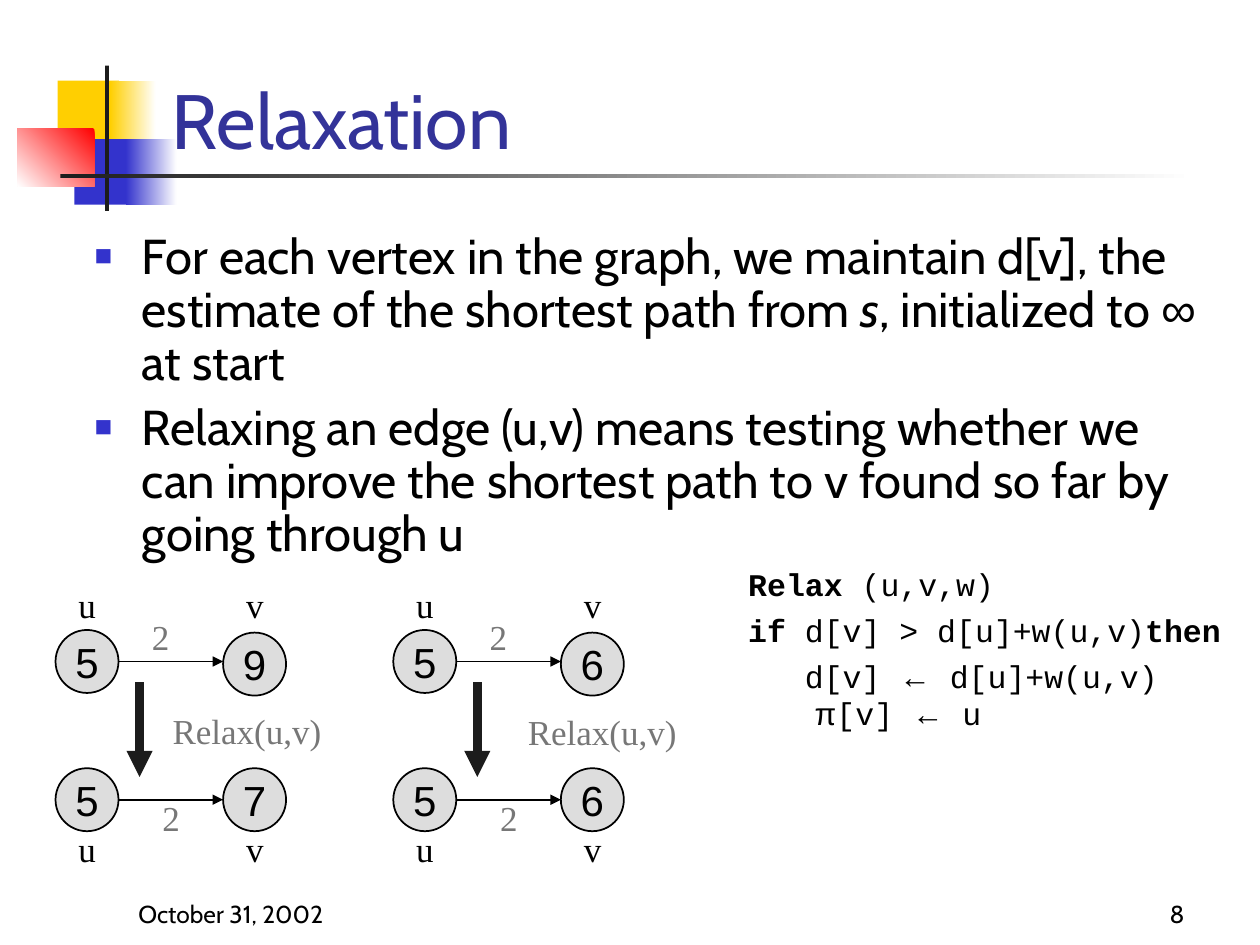
import pptx
import pptx.util
import pptx.dml.color
import pptx.enum.shapes
import pptx.enum.text
import pptx.oxml
import pptx.oxml.ns

Pt = pptx.util.Pt
SHAPE = pptx.enum.shapes.MSO_SHAPE
ALIGN = pptx.enum.text.PP_ALIGN
ANCHOR = pptx.enum.text.MSO_ANCHOR
COLORS = {
    "black": "000000", "dark": "1C1C1C", "white": "FFFFFF", "title": "333399",
    "blue": "3333CC", "yellow": "FFCF01", "red": "FF0000", "node": "DDDDDD",
    "gray": "777777",
}


def color(name):
    return pptx.dml.color.RGBColor.from_string(COLORS[name])


def add_xml(parent, tag, content=""):
    ns = pptx.oxml.ns.nsdecls("a")
    name = tag.split()[0]
    parent.append(pptx.oxml.parse_xml(f"<a:{tag} {ns}>{content}</a:{name}>"))


class Deck:
    def __init__(self, width, height):
        self.prs = pptx.Presentation()
        self.prs.slide_width, self.prs.slide_height = Pt(width), Pt(height)
        self.slide = self.prs.slides.add_slide(self.prs.slide_layouts[6])

    def shape(self, kind, box, fill, fade=None, angle=0):
        """Add a shape without outline; fade is the second gradient colour."""
        sp = self.slide.shapes.add_shape(kind, *map(Pt, box))
        sp.shadow.inherit = False
        sp.line.fill.background()
        if fade:
            sp.fill.gradient()
            sp.fill.gradient_angle = angle
            for stop, name in zip(sp.fill.gradient_stops, (fill, fade)):
                stop.color.rgb = color(name)
        else:
            sp.fill.solid()
            sp.fill.fore_color.rgb = color(fill)
        return sp

    def style(self, p, font, size, ink="black", align=None, before=None):
        p.font.name, p.font.size = font, Pt(size)
        p.font.color.rgb = color(ink)
        p.alignment = align
        if before is not None:
            p.space_before = Pt(before)

    def indent(self, p, left, first):
        pPr = p._p.get_or_add_pPr()
        pPr.set("marL", str(Pt(left)))
        pPr.set("indent", str(Pt(first)))
        return pPr

    def runs(self, p, parts):
        """Add (text, font attributes) pairs; a None text is a line break."""
        for text, attributes in parts:
            if text is None:
                p.add_line_break()
                continue
            r = p.add_run()
            r.text = text
            for key, value in attributes.items():
                setattr(r.font, key, value)

    def text_frame(self, box, anchor=ANCHOR.TOP):
        tf = self.slide.shapes.add_textbox(*map(Pt, box)).text_frame
        tf.word_wrap = True
        tf.vertical_anchor = anchor
        return tf

    def label(self, text, box, font, size, anchor=ANCHOR.TOP, **style):
        p = self.text_frame(box, anchor).paragraphs[0]
        p.text = text
        self.style(p, font, size, **style)

    def bullets(self, box, items):
        tf = self.text_frame(box)
        for i, parts in enumerate(items):
            p = tf.add_paragraph() if i else tf.paragraphs[0]
            p.line_spacing = 0.9
            pPr = self.indent(p, 27, -27)
            add_xml(pPr, "buClr", f'<a:srgbClr val="{COLORS["blue"]}"/>')
            add_xml(pPr, 'buSzPct val="60000"')
            add_xml(pPr, 'buFont typeface="Arial"')
            add_xml(pPr, 'buChar char="■"')
            self.style(p, "Cabin", 28, before=7)
            self.runs(p, parts)

    def code(self, box, lines):
        tf = self.text_frame(box)
        for i, (left, first, parts) in enumerate(lines):
            p = tf.add_paragraph() if i else tf.paragraphs[0]
            self.indent(p, left, first)
            self.style(p, "Courier New", 18, before=4.5)
            self.runs(p, parts)

    def node(self, text, x, y, size=36):
        sp = self.shape(SHAPE.OVAL, (x, y, size, size), "node")
        sp.line.color.rgb = color("black")
        sp.line.width = Pt(1)
        tf = sp.text_frame
        tf.word_wrap = False
        tf.vertical_anchor = ANCHOR.MIDDLE
        p = tf.paragraphs[0]
        p.text = text
        self.style(p, "Arial", 24, align=ALIGN.CENTER)

    def arrow(self, x1, y1, x2, y2, ink="black", width=1):
        line = self.slide.shapes.add_connector(
            pptx.enum.shapes.MSO_CONNECTOR.STRAIGHT, *map(Pt, (x1, y1, x2, y2)))
        line.line.color.rgb = color(ink)
        line.line.width = Pt(width)
        add_xml(line.line._get_or_add_ln(), 'tailEnd type="triangle"')
        add_xml(line._element.spPr, "effectLst")

    def relax_example(self, x, before, after, caption_x, caption_y):
        """Draw edge (u,v) above and below the arrow that relaxes it."""
        u, v = x, x + 95.75
        serif = {"font": "Times New Roman", "size": 20, "before": 12.5}
        rows = ((before, 360, 361.5, 378, 330), (after, 439, 439, 457, 469.5))
        for (u_value, v_value), u_top, v_top, edge_y, name_y in rows:
            self.node(u_value, u, u_top)
            self.node(v_value, v, v_top)
            self.arrow(u + 36, edge_y, v, edge_y)
            for name, left in (("u", u), ("v", v)):
                self.label(name, (left + 6, name_y, 24, 32), **serif)
        self.label("2", (x + 48, 348, 36, 32), ink="gray", **serif)
        self.label("2", (x + 54, 451.5, 24, 32), ink="gray", **serif)
        self.arrow(x + 48, 390, x + 48, 444, "dark", 5)
        self.label("Relax(u,v)", (caption_x, caption_y, 126, 32), ink="gray", **serif)


def main():
    deck = Deck(720, 540)
    for box, *fill in (
        ((33, 46, 35, 37.5), "yellow"),
        ((63, 46, 26, 37.5), "yellow", "white"),
        ((42.5, 79.5, 33, 37.5), "blue"),
        ((72, 79.5, 29, 37.5), "blue", "white"),
        ((10, 73.5, 44, 33), "red", "white", 225),
        ((60, 37.5, 2.25, 83), "dark"),
        ((34.5, 99.5, 648, 2.25), "dark", "white"),
    ):
        deck.shape(SHAPE.RECTANGLE, box, *fill)

    deck.label("Relaxation", (91, 8, 613, 90), "Cabin", 44, ANCHOR.BOTTOM, ink="title")
    deck.bullets((47, 129, 658, 209.5), (
        (("For each vertex in the graph, we maintain d[v], the estimate of "
          "the shortest path from ", {}), ("s", {"italic": True}),
         (", initialized to ", {}), ("∞ ", {"name": "Arial"}), ("at start", {})),
        (("Relaxing an edge (u,v) means testing whether we can improve the "
          "shortest path to v found so far by going through u", {}),),
    ))

    deck.relax_example(31.75, ("5", "9"), ("5", "7"), 91.5, 402)
    deck.relax_example(224.75, ("5", "6"), ("5", "6"), 294.5, 402.5)

    bold, symbol = {"bold": True}, {"name": "Arial"}
    deck.code((420.5, 319.5, 299.5, 115), (
        (27, -27, (("Relax ", bold), ("(u,v,w)", {}))),
        (27, -27, (("if ", bold), ("d[v] > d[u]+w(u,v)", {}), ("then", bold))),
        (38, -5.6, (("d[v] ", {}), ("←", symbol), (" d[u]+w(u,v)", {}), (None, {}),
                    ("π", symbol), ("[v] ", {}), ("←", symbol), (" u", {}))),
    ))

    deck.label("8", (534, 498, 150, 36), "Cabin", 14, ANCHOR.BOTTOM, align=ALIGN.RIGHT)
    deck.label("October 31, 2002", (72, 498, 150, 36), "Cabin", 14, ANCHOR.BOTTOM)
    deck.prs.save("out.pptx")


if __name__ == "__main__":
    main()
